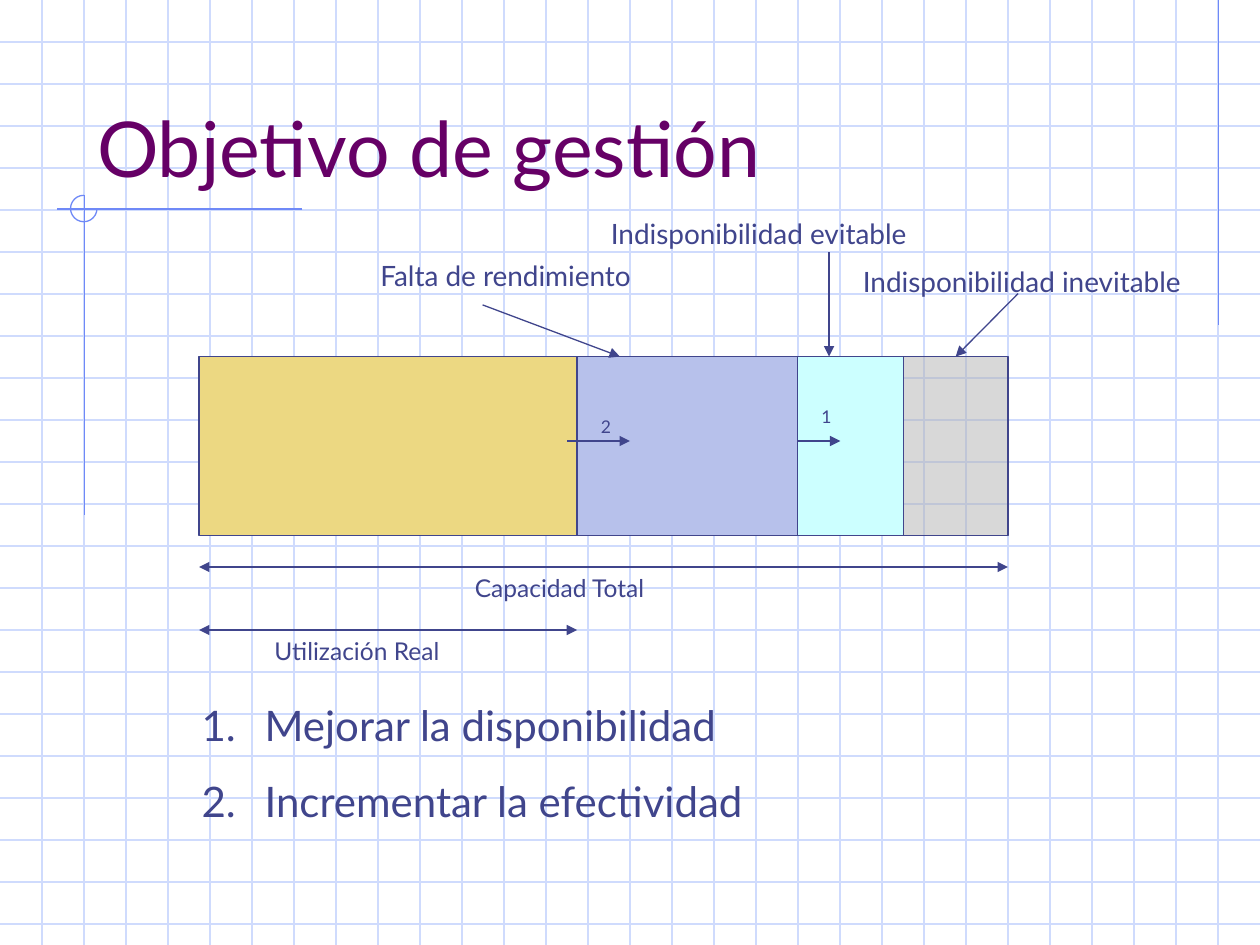
from lxml import etree
from pptx import Presentation
from pptx.dml.color import RGBColor
from pptx.enum import shapes, text
from pptx.oxml.ns import qn
from pptx.util import Inches, Pt

INK, GRID, ACCENT, PURPLE = "40458C", "CFDBFD", "6F89F7", "660066"


def color(value):
    return RGBColor.from_string(value)


def add_line(x1, y1, x2, y2, stroke, heads=()):
    """Draw a straight line; heads lists the ends with arrowheads."""
    line = slide.shapes.add_connector(
        shapes.MSO_CONNECTOR.STRAIGHT, Inches(x1), Inches(y1), Inches(x2), Inches(y2))
    line.line.color.rgb = color(stroke)
    line.line.width = Pt(0.75)
    properties = line._element.spPr
    for end in heads:
        etree.SubElement(properties.find(qn("a:ln")), qn(f"a:{end}"), type="triangle")
    etree.SubElement(properties, qn("a:effectLst"))
    return line


prs = Presentation()
prs.slide_width, prs.slide_height = Inches(10), Inches(7.5)
slide = prs.slides.add_slide(prs.slide_layouts[1])

# Graph paper with three squares to the inch
for row in range(1, 23):
    add_line(0, row / 3, 10, row / 3, GRID)
for column in range(1, 30):
    add_line(column / 3, 0, column / 3, 7.5, GRID)

# Corner marks
add_line(9.67, 0, 9.67, 2.58, ACCENT)
add_line(2.4, 1.66, 0.45, 1.66, ACCENT)
add_line(0.67, 1.55, 0.67, 4.09, ACCENT)
corner_arc = slide.shapes.add_shape(
    shapes.MSO_SHAPE.ARC, Inches(0.56), Inches(1.55), Inches(0.21), Inches(0.21))
corner_arc.adjustments[0] = 0
corner_arc.adjustments[1] = 162  # 270 degrees
corner_arc.fill.background()
corner_arc.line.color.rgb = color(ACCENT)
corner_arc.line.width = Pt(0.75)
corner_arc.shadow.inherit = False

# Title, in front of the graph paper
title = slide.shapes.title
title.left, title.top, title.width, title.height = map(Inches, (0.67, 0.33, 8.5, 1.25))
title.text_frame.text = "Objetivo de gestión"
title.text_frame.vertical_anchor = text.MSO_ANCHOR.BOTTOM
title.text_frame.auto_size = text.MSO_AUTO_SIZE.NONE
heading = title.text_frame.paragraphs[0]
heading.alignment = text.PP_ALIGN.LEFT
heading.font.name, heading.font.size = "Lato", Pt(44)
heading.font.color.rgb = color(PURPLE)
slide.shapes._spTree.append(title._element)

# Capacity bar
segments = []
for left, width, fill in [
    (1.58, 3, "ECD882"),
    (4.58, 1.75, "B7C1EB"),
    (6.33, 0.84, "CCFFFF"),
    (7.17, 0.83, "B2B2B2"),
]:
    segment = slide.shapes.add_shape(
        shapes.MSO_SHAPE.RECTANGLE, Inches(left), Inches(2.83), Inches(width), Inches(1.42))
    segment.fill.solid()
    segment.fill.fore_color.rgb = color(fill)
    segment.line.color.rgb = color(INK)
    segment.line.width = Pt(0.75)
    segment.shadow.inherit = False
    segments.append(segment)
unavoidable = segments[-1]
etree.SubElement(
    unavoidable._element.spPr.find(qn("a:solidFill"))[0], qn("a:alpha"), val="50000")

# Callout, improvement and dimension arrows
for x1, y1, x2, y2 in [
    (3.83, 2.42, 4.92, 2.83),
    (6.58, 2, 6.58, 2.83),
    (4.5, 3.5, 5, 3.5),
    (6.33, 3.5, 6.67, 3.5),
]:
    add_line(x1, y1, x2, y2, INK, ["tailEnd"])
add_line(8.08, 2.33, 7.58, 2.83, INK, ["tailEnd"]).end_connect(unavoidable, 0)
add_line(1.58, 4.5, 8, 4.5, INK, ["headEnd", "tailEnd"])
add_line(1.58, 5, 4.58, 5, INK, ["headEnd", "tailEnd"])

for words, left, top, width, height, size in [
    ("Falta de rendimiento", 2.92, 2, 2.33, 0.64, 16),
    ("Indisponibilidad evitable", 4.75, 1.67, 2.58, 0.64, 16),
    ("Indisponibilidad inevitable", 6.75, 2.05, 2.92, 0.64, 16),
    ("Capacidad Total", 3.67, 4.5, 1.83, 0.34, 14),
    ("Utilización Real", 2.08, 5, 1.83, 0.34, 14),
    ("2", 4.67, 3.25, 0.42, 0.27, 10),
    ("1", 6.42, 3.17, 0.42, 0.27, 10),
]:
    label = slide.shapes.add_textbox(
        Inches(left), Inches(top), Inches(width), Inches(height)).text_frame
    label.word_wrap = True
    label.text = words
    font = label.paragraphs[0].font
    font.name, font.size = "Lato", Pt(size)
    font.color.rgb = color(INK)

# Numbered goals
goals = slide.placeholders[1]
goals.left, goals.top, goals.width, goals.height = map(Inches, (1.5, 5.5, 5.25, 1.11))
goals.text_frame.text = "Mejorar la disponibilidad\nIncrementar la efectividad"
goals.text_frame.auto_size = text.MSO_AUTO_SIZE.NONE
for index, goal in enumerate(goals.text_frame.paragraphs):
    properties = goal._p.get_or_add_pPr()
    properties.set("marL", str(Inches(0.5)))
    properties.set("indent", str(Inches(-0.5)))
    bullet_color = etree.SubElement(properties, qn("a:buClr"))
    etree.SubElement(bullet_color, qn("a:srgbClr"), val=INK)
    etree.SubElement(properties, qn("a:buFont"), typeface="Lato")
    etree.SubElement(properties, qn("a:buAutoNum"), type="arabicPeriod")
    goal.space_before = Pt(15 if index else 0)
    goal.font.name, goal.font.size = "Lato", Pt(24)
    goal.font.color.rgb = color(INK)
slide.shapes._spTree.append(goals._element)

prs.save("out.pptx")
